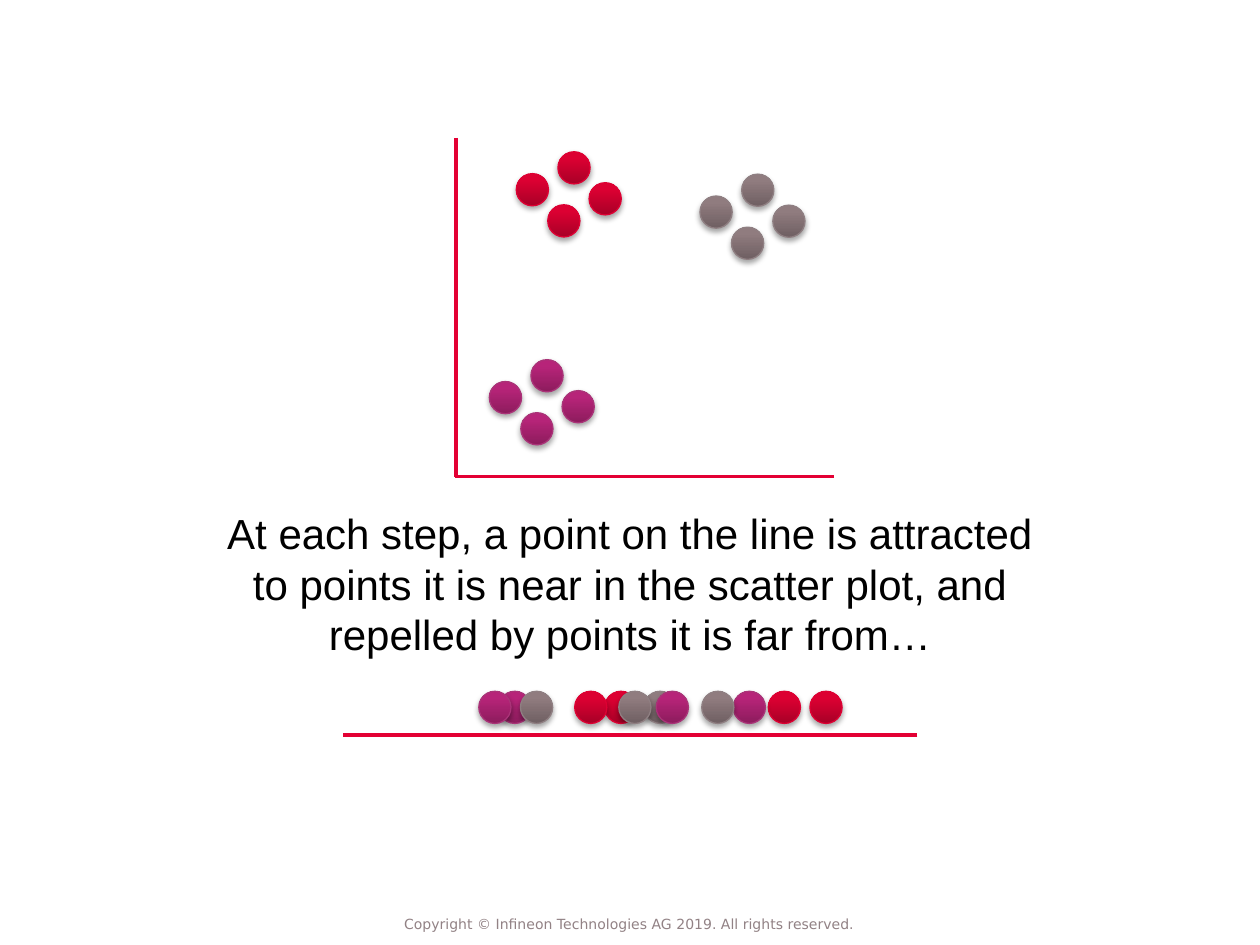
from copy import deepcopy

from lxml.etree import SubElement
from pptx import Presentation
from pptx.dml.color import RGBColor
from pptx.enum.shapes import MSO_CONNECTOR as Connector, MSO_SHAPE as Shape
from pptx.enum.text import MSO_ANCHOR as Anchor, MSO_AUTO_SIZE as AutoSize, PP_ALIGN as Align
from pptx.oxml.ns import qn
from pptx.util import Pt

BLACK = RGBColor(0x00, 0x00, 0x00)
FOOTER_GRAY = RGBColor(0x92, 0x82, 0x85)
AXIS_RED = RGBColor(0xE3, 0x00, 0x34)
RED = (RGBColor(0xA9, 0x00, 0x27), RGBColor(0xDC, 0x00, 0x32),
       RGBColor(0xDD, 0x00, 0x33), RGBColor(0xDE, 0x00, 0x33))
PURPLE = (RGBColor(0x8D, 0x1C, 0x5D), RGBColor(0xB7, 0x24, 0x79),
          RGBColor(0xBA, 0x22, 0x7A), RGBColor(0xAA, 0x33, 0x78))
GRAY = (RGBColor(0x6F, 0x5F, 0x62), RGBColor(0x90, 0x7C, 0x7F),
        RGBColor(0x91, 0x7C, 0x80), RGBColor(0x8F, 0x7F, 0x82))
DOT_SIZE = 18.4


def add_dot(shapes, left, top, palette):
    dot = shapes.add_shape(Shape.OVAL, Pt(left), Pt(top), Pt(DOT_SIZE), Pt(DOT_SIZE))
    dot.fill.gradient()
    dot.fill.gradient_angle = 90
    properties = dot._element.spPr
    stop_list = properties.find(qn("a:gradFill")).find(qn("a:gsLst"))
    stop_list.insert(1, deepcopy(stop_list[0]))
    for stop, position, color in zip(dot.fill.gradient_stops, (0, 0.8, 1), palette):
        stop.position = position
        stop.color.rgb = color
    dot.line.color.rgb = palette[3]
    dot.line.width = Pt(0.75)
    dot.shadow.inherit = False
    shadow = SubElement(properties.find(qn("a:effectLst")), qn("a:outerShdw"),
                        blurRad=str(Pt(3.1)), dist=str(Pt(1.8)), dir="5400000", rotWithShape="0")
    shade = SubElement(shadow, qn("a:srgbClr"), val="000000")
    SubElement(shade, qn("a:alpha"), val="35000")


def add_text(text, left, top, width, height, *, font, size, color,
             wrap=True, anchor=Anchor.TOP, inset=None, auto_size=AutoSize.NONE):
    box = slide.shapes.add_textbox(Pt(left), Pt(top), Pt(width), Pt(height))
    frame = box.text_frame
    frame.word_wrap = wrap
    frame.auto_size = auto_size
    frame.vertical_anchor = anchor
    if inset is not None:
        frame.margin_left = frame.margin_right = Pt(inset)
        frame.margin_top = frame.margin_bottom = Pt(inset)
    para = frame.paragraphs[0]
    para.alignment = Align.CENTER
    span = para.add_run()
    span.text = text
    span.font.name = font
    span.font.size = Pt(size)
    span.font.color.rgb = color


deck = Presentation()
deck.slide_width, deck.slide_height = Pt(720), Pt(540)
slide = deck.slides.add_slide(deck.slide_layouts[6])

cluster_offsets = [(0, 0), (23.8, -12.5), (18, 17.8), (41.6, 5.2)]
clusters = [(295, 99.2, RED), (279.6, 218, PURPLE), (400, 112, GRAY)]
for left, top, palette in clusters:
    cluster = slide.shapes.add_group_shape()
    for across, down in cluster_offsets:
        add_dot(cluster.shapes, left + across, top + down, palette)

horizontal_axis = (476.6, 272.3, 260, 272.3)
vertical_axis = (260.6, 78.8, 260.6, 272.3)
number_line = (524.2, 420, 195.8, 420)
for ends in (horizontal_axis, vertical_axis, number_line):
    line = slide.shapes.add_connector(Connector.STRAIGHT, *map(Pt, ends))
    line.line.color.rgb = AXIS_RED
    line.line.width = Pt(2)
    SubElement(line._element.spPr, qn("a:effectLst"))

line_dots = [
    (345.6, RED), (439, RED), (285, PURPLE), (273.6, PURPLE), (462.8, RED), (419, PURPLE),
    (401, GRAY), (368, GRAY), (353.6, GRAY), (297.4, GRAY), (328.4, RED), (375, PURPLE),
]
for left, palette in line_dots:
    add_dot(slide.shapes, left, 395, palette)

add_text("At each step, a point on the line is attracted to points it is near "
         "in the scatter plot, and repelled by points it is far from…",
         113, 286.6, 494, 51, font="Arial", size=24, color=BLACK,
         auto_size=AutoSize.SHAPE_TO_FIT_TEXT)
add_text("Copyright © Infineon Technologies AG 2019. All rights reserved.",
         337, 516.2, 45.4, 23.8, font="DejaVu Sans", size=8, color=FOOTER_GRAY,
         wrap=False, anchor=Anchor.MIDDLE, inset=0)

deck.save("out.pptx")
